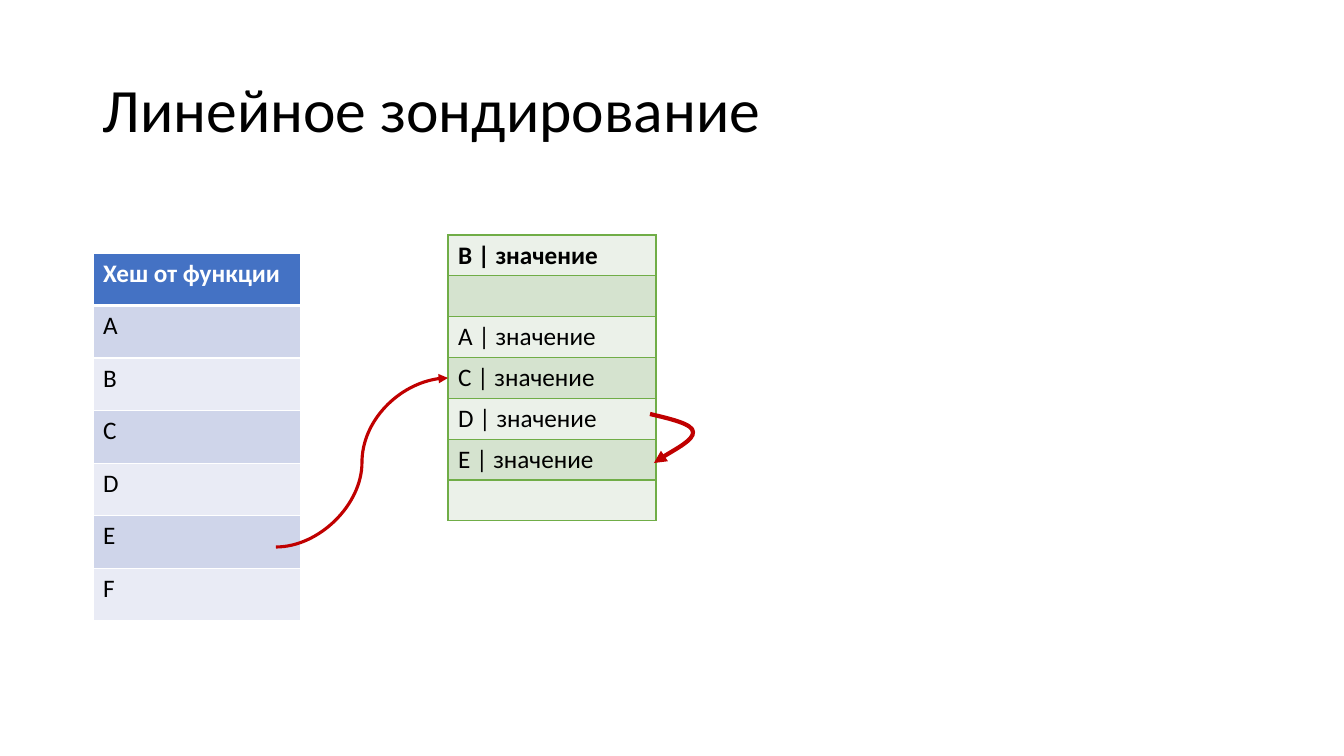
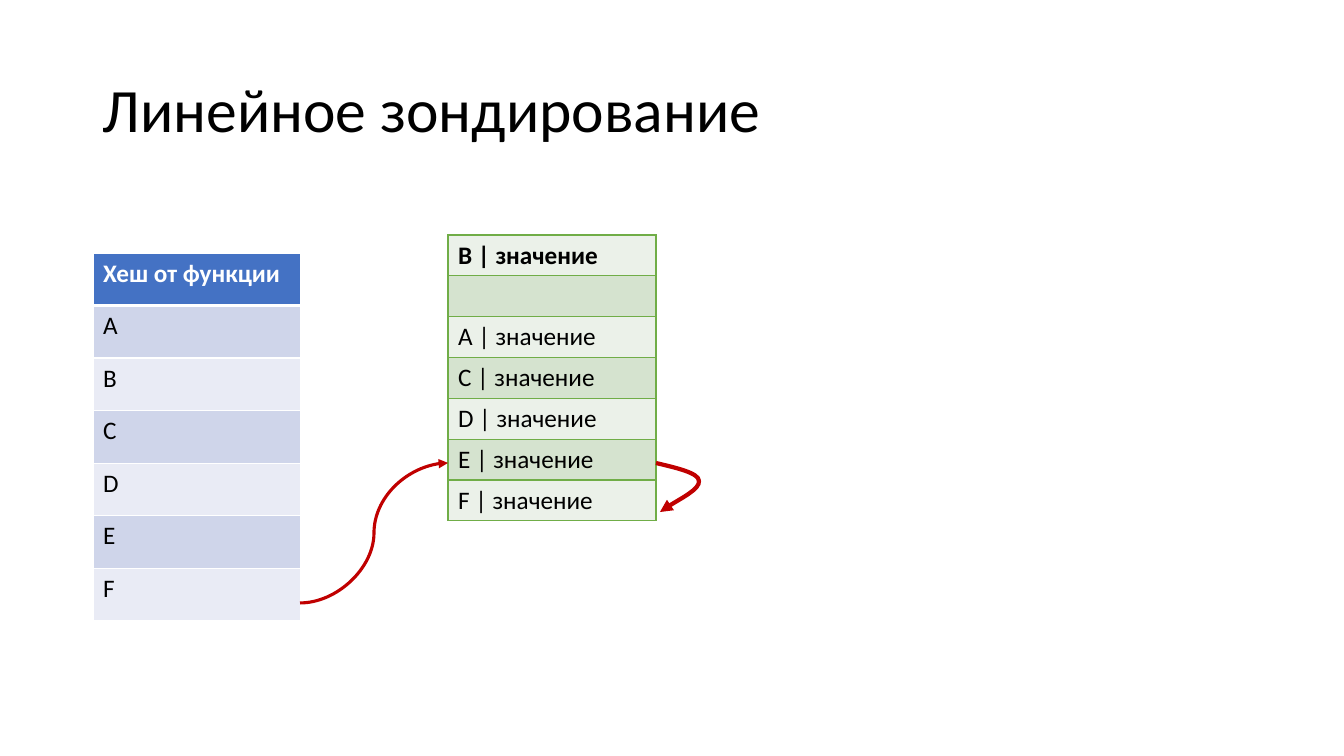
from dataclasses import dataclass

from lxml.etree import SubElement
from pptx import Presentation
from pptx.dml.color import RGBColor
from pptx.enum.shapes import MSO_CONNECTOR as Connector
from pptx.enum.text import MSO_ANCHOR as Anchor
from pptx.oxml.ns import qn
from pptx.util import Emu, Pt

EMU_PER_PX = 914400 / 100.8


@dataclass(frozen=True)
class Theme:
    font: str = "Calibri"
    title_size: int = 44
    cell_size: int = 18
    text: str = "000000"
    white: str = "FFFFFF"
    header: str = "4472C4"
    hash_bands: tuple = ("CFD5EA", "E9EBF5")
    slot_bands: tuple = ("EBF1E9", "D5E3CF")
    slot_border: str = "70AD47"
    arrow: str = "C00000"
    link_width: float = 2.25
    probe_width: float = 3


THEME = Theme()
TITLE = "Линейное зондирование"
HASH_ROWS = ["Хеш от функции", *"ABCDEF"]
TITLE_BOX = (93, 40, 1159, 146)
HASH_BOX = (93, 253, 208, 368)
SLOT_BOX = (448, 235, 208, 286)
# Two cubic curves, as offsets from the start of the probe arrow
PROBE_CURVE = [(21, 5), (43, 10), (43, 18), (44, 26), (8, 45), (4, 49)]

STEPS = [
    {"slots": ["B", "", "A", "C", "D", "E", ""],
     "link": (276, 547, 448, 378), "probe": (650, 414)},
    {"slots": ["B", "", "A", "C", "D", "E", "F"],
     "link": (300, 603, 448, 463), "probe": (656, 463)},
]


def px(*lengths):
    return [Emu(round(length * EMU_PER_PX)) for length in lengths]


def rgb(color):
    return RGBColor.from_string(color)


def write(frame, text, size, color=THEME.text, bold=False):
    para = frame.paragraphs[0]
    span = para.add_run()
    span.text = text
    font_values = {"name": THEME.font, "size": Pt(size), "bold": bold}
    for name, value in font_values.items():
        setattr(span.font, name, value)
    span.font.color.rgb = rgb(color)
    return para


def add_title(page, box):
    frame = page.shapes.add_textbox(*px(*box)).text_frame
    frame.word_wrap = True
    frame.vertical_anchor = Anchor.MIDDLE
    write(frame, TITLE, THEME.title_size).line_spacing = 0.9


def set_borders(cell, color, widths):
    """Draw the cell's sides; must run before its fill is set."""
    properties = cell._tc.get_or_add_tcPr()
    for side in "LRTB":
        line = SubElement(properties, qn(f"a:ln{side}"),
                          w=str(Pt(widths.get(side, 1))))
        fill = SubElement(line, qn("a:solidFill"))
        SubElement(fill, qn("a:srgbClr"), val=color)


def add_column(page, box, labels, fills, border, head_color, head_rule=1):
    """Add a one-column table whose first row is bold."""
    left, top, width, height = px(*box)
    table = page.shapes.add_table(
        len(labels), 1, left, top, width, height).table
    table.first_row = table.horz_banding = False
    for index, (label, fill) in enumerate(zip(labels, fills)):
        table.rows[index].height = Emu(height // len(labels))
        cell = table.cell(index, 0)
        widths = {0: {"B": head_rule}, 1: {"T": head_rule}}.get(index, {})
        set_borders(cell, border, widths)
        cell.fill.solid()
        cell.fill.fore_color.rgb = rgb(fill)
        if label:
            is_head = index == 0
            write(cell.text_frame, label, THEME.cell_size,
                  head_color if is_head else THEME.text, is_head)


def add_hash_table(page, box):
    fills = [THEME.header, *THEME.hash_bands * 3]
    add_column(page, box, HASH_ROWS, fills, THEME.white, THEME.white, 3)


def add_slot_table(page, box, slots):
    labels = [f"{key} | значение" if key else "" for key in slots]
    fills = THEME.slot_bands * 4
    add_column(page, box, labels, fills, THEME.slot_border, THEME.text)


def style_arrow(shape, width):
    shape.line.color.rgb = rgb(THEME.arrow)
    shape.line.width = Pt(width)
    SubElement(shape.line._get_or_add_ln(), qn("a:tailEnd"), type="triangle")


def add_link(page, ends):
    link = page.shapes.add_connector(Connector.CURVE, *px(*ends))
    style_arrow(link, THEME.link_width)
    SubElement(link._element.spPr, qn("a:effectLst"))


def add_probe(page, start):
    """Add the curved arrow from one slot to the next."""
    left, top = start
    builder = page.shapes.build_freeform(*px(left, top))
    points = [px(left + x, top + y) for x, y in PROBE_CURVE]
    builder.add_line_segments(points, close=False)
    probe = builder.convert_to_shape()
    probe.shadow.inherit = False
    probe.fill.background()
    style_arrow(probe, THEME.probe_width)
    outline = probe._element.find(f".//{qn('a:path')}")
    segments = outline.findall(qn("a:lnTo"))
    for first in range(0, len(segments), 3):
        curve = SubElement(outline, qn("a:cubicBezTo"))
        for segment in segments[first:first + 3]:
            curve.append(segment[0])
            outline.remove(segment)


def add_step(deck, step):
    page = deck.slides.add_slide(deck.slide_layouts[6])
    add_title(page, TITLE_BOX)
    add_hash_table(page, HASH_BOX)
    add_slot_table(page, SLOT_BOX, step["slots"])
    add_link(page, step["link"])
    add_probe(page, step["probe"])


def main():
    deck = Presentation()
    deck.slide_width, deck.slide_height = px(1344, 756)
    for step in STEPS:
        add_step(deck, step)
    deck.save("out.pptx")


if __name__ == "__main__":
    main()
